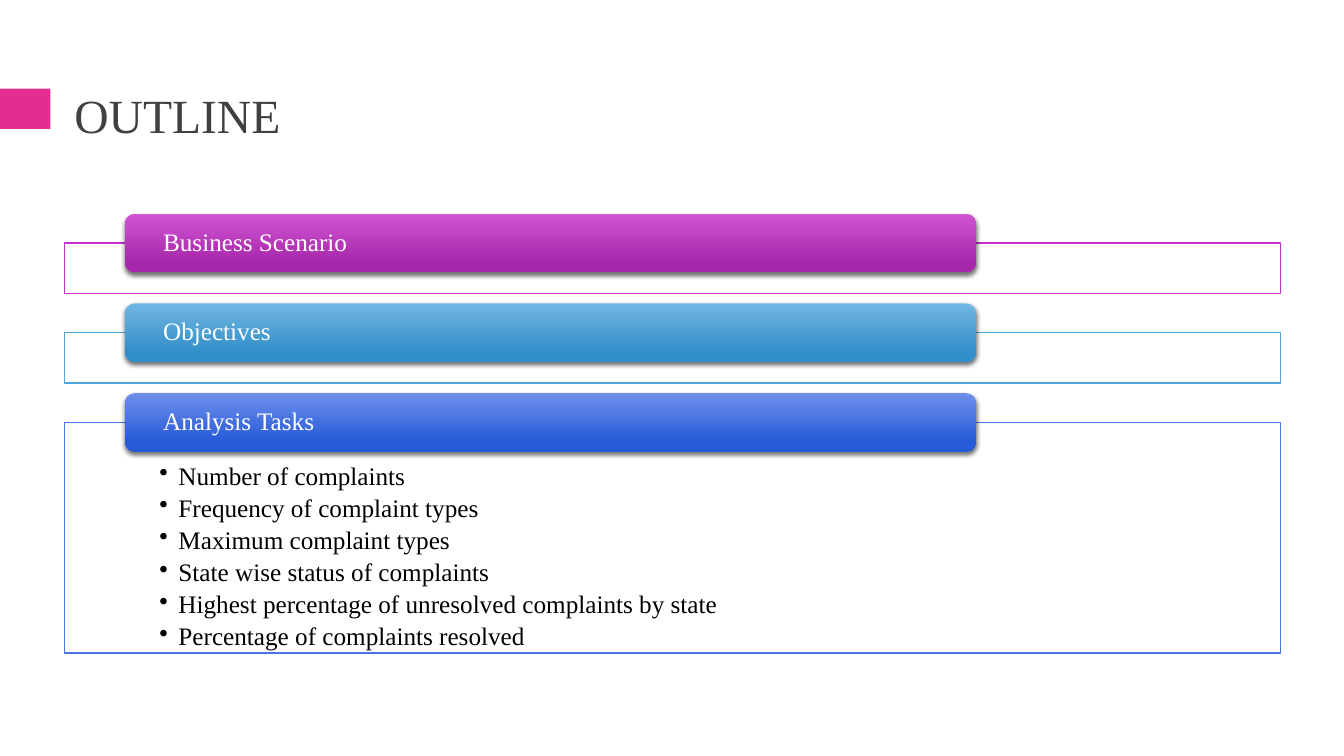
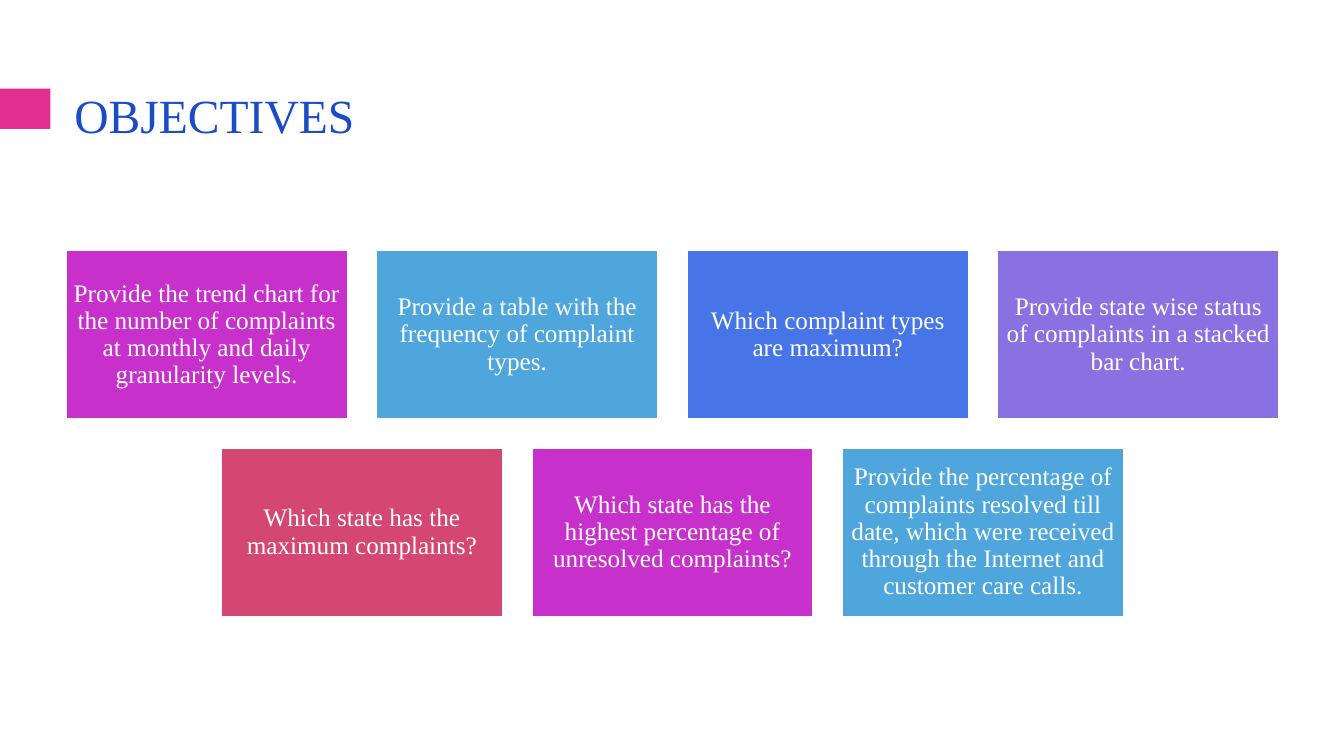
from pptx import Presentation
from pptx.dml.color import RGBColor
from pptx.enum.shapes import MSO_SHAPE
from pptx.enum.text import MSO_ANCHOR, PP_ALIGN
from pptx.oxml import parse_xml
from pptx.oxml.ns import nsdecls
from pptx.util import Inches, Pt

RECTANGLE = MSO_SHAPE.RECTANGLE
ROUNDED = MSO_SHAPE.ROUNDED_RECTANGLE
TOP, MIDDLE = MSO_ANCHOR.TOP, MSO_ANCHOR.MIDDLE
LEFT, CENTER = PP_ALIGN.LEFT, PP_ALIGN.CENTER

FONT = "Times New Roman"
COLORS = {
    "accent": "E32D91",
    "title": "404040",
    "title_blue": "1A4CC8",
    "white": "FFFFFF",
    "black": "000000",
    "magenta": "C830CC",
    "sky": "4EA6DC",
    "blue": "4775E7",
    "violet": "8971E1",
    "rose": "D54773",
}
# Top and bottom of each heading bar's gradient
GRADIENTS = {
    "magenta": ("CF55D3", "A828AB"),
    "sky": ("71B6E2", "328FC9"),
    "blue": ("6D8FEB", "275AD7"),
}

MARGIN = 0.64
CONTENT_WIDTH = 12.06

# Outline: frame color, heading, top of frame, height of frame, bullets
SECTIONS = [
    ("magenta", "Business Scenario", 2.41, 0.5, []),
    ("sky", "Objectives", 3.3, 0.5, []),
    ("blue", "Analysis Tasks", 4.19, 2.29, [
        "Number of complaints",
        "Frequency of complaint types",
        "Maximum complaint types",
        "State wise status of complaints",
        "Highest percentage of unresolved complaints by state",
        "Percentage of complaints resolved",
    ]),
]

# Objectives: rows of cards, each row centered
CARD_ROWS = [
    [
        ("magenta", "Provide the trend chart for the number of complaints "
                    "at monthly and daily granularity levels."),
        ("sky", "Provide a table with the frequency of complaint types."),
        ("blue", "Which complaint types are maximum?"),
        ("violet", "Provide state wise status of complaints in a stacked bar chart."),
    ],
    [
        ("rose", "Which state has the maximum complaints?"),
        ("magenta", "Which state has the highest percentage of unresolved complaints?"),
        ("sky", "Provide the percentage of complaints resolved till date, which were "
                "received through the Internet and customer care calls."),
    ],
]
CARD_WIDTH, CARD_HEIGHT, CARD_GAP, CARD_TOP = 2.8, 1.68, 0.28, 2.48


def rgb(name):
    return RGBColor.from_string(COLORS[name])


def add_box(slide, kind, box, fill=None, line=None, line_width=1):
    shape = slide.shapes.add_shape(kind, *map(Inches, box))
    shape.shadow.inherit = False
    if fill:
        shape.fill.solid()
        shape.fill.fore_color.rgb = rgb(fill)
    else:
        shape.fill.background()
    if line:
        shape.line.color.rgb = rgb(line)
        shape.line.width = Pt(line_width)
    else:
        shape.line.fill.background()
    return shape


def write_text(shape, texts, color, size=18, insets=(0.1, 0.05, 0.1, 0.05),
               anchor=MIDDLE, align=LEFT, space_after=0, bulleted=False):
    frame = shape.text_frame
    left, top, right, bottom = map(Inches, insets)
    frame_format = {
        "word_wrap": True, "vertical_anchor": anchor,
        "margin_left": left, "margin_top": top,
        "margin_right": right, "margin_bottom": bottom,
    }
    for name, value in frame_format.items():
        setattr(frame, name, value)
    paragraph_format = {"alignment": align, "line_spacing": 0.9,
                        "space_after": Pt(space_after)}
    font_format = {"name": FONT, "size": Pt(size)}
    for index, text in enumerate(texts):
        paragraph = frame.add_paragraph() if index else frame.paragraphs[0]
        for name, value in paragraph_format.items():
            setattr(paragraph, name, value)
        run = paragraph.add_run()
        run.text = text
        for name, value in font_format.items():
            setattr(run.font, name, value)
        run.font.color.rgb = rgb(color)
        if bulleted:
            add_bullet(paragraph)


def add_bullet(paragraph):
    properties = paragraph._p.get_or_add_pPr()
    indent = Inches(0.19)
    properties.set("marL", str(indent))
    properties.set("indent", str(-indent))
    properties.append(parse_xml(f'<a:buChar {nsdecls("a")} char="•"/>'))


def add_title(slide, text, color):
    add_box(slide, RECTANGLE, (0, 0.88, 0.5, 0.4), "accent")
    title = slide.shapes.add_textbox(
        *map(Inches, (MARGIN, 0.77, CONTENT_WIDTH, 0.81)))
    write_text(title, [text], color, size=34)


def add_heading_bar(slide, text, color, top):
    bar = add_box(slide, ROUNDED, (1.24, top, 8.44, 0.58), color)
    bar.fill.gradient()
    bar.fill.gradient_angle = 270
    stops = bar.fill.gradient_stops
    for stop, position, shade in zip(stops, (0, 0.84), GRADIENTS[color]):
        stop.position = position
        stop.color.rgb = RGBColor.from_string(shade)
    # Soft shadow straight below the bar
    effects = bar._element.spPr.find("{*}effectLst")
    effects.append(parse_xml(
        f'<a:outerShdw {nsdecls("a")} blurRad="{Pt(3)}" dist="{Pt(2)}" '
        'dir="5400000" algn="ctr" rotWithShape="0">'
        f'<a:srgbClr val="{COLORS["black"]}"><a:alpha val="55000"/></a:srgbClr>'
        '</a:outerShdw>'))
    write_text(bar, [text], "white", insets=(0.35, 0, 0.35, 0))


def add_section(slide, color, heading, top, height, bullets):
    frame = add_box(slide, RECTANGLE, (MARGIN, top, CONTENT_WIDTH, height),
                    "white", color)
    if bullets:
        write_text(frame, bullets, "black", insets=(0.94, 0.41, 0.94, 0.14),
                   anchor=TOP, space_after=3.5, bulleted=True)
    add_heading_bar(slide, heading, color, top - 0.29)


def add_card_row(slide, cards, top):
    step = CARD_WIDTH + CARD_GAP
    row_width = len(cards) * step - CARD_GAP
    start = MARGIN + (CONTENT_WIDTH - row_width) / 2
    for index, (color, text) in enumerate(cards):
        card = add_box(slide, RECTANGLE,
                       (start + index * step, top, CARD_WIDTH, CARD_HEIGHT),
                       color, "white", 1.75)
        write_text(card, [text], "white", insets=(0.07,) * 4, align=CENTER)


def main():
    presentation = Presentation()
    presentation.slide_width = Inches(13.33)
    presentation.slide_height = Inches(7.5)
    blank = presentation.slide_layouts[6]

    # Outline
    slide = presentation.slides.add_slide(blank)
    add_title(slide, "OUTLINE", "title")
    for section in SECTIONS:
        add_section(slide, *section)

    # Objectives
    slide = presentation.slides.add_slide(blank)
    add_title(slide, "OBJECTIVES", "title_blue")
    for index, cards in enumerate(CARD_ROWS):
        add_card_row(slide, cards, CARD_TOP + index * (CARD_HEIGHT + CARD_GAP))

    presentation.save("out.pptx")


if __name__ == "__main__":
    main()
